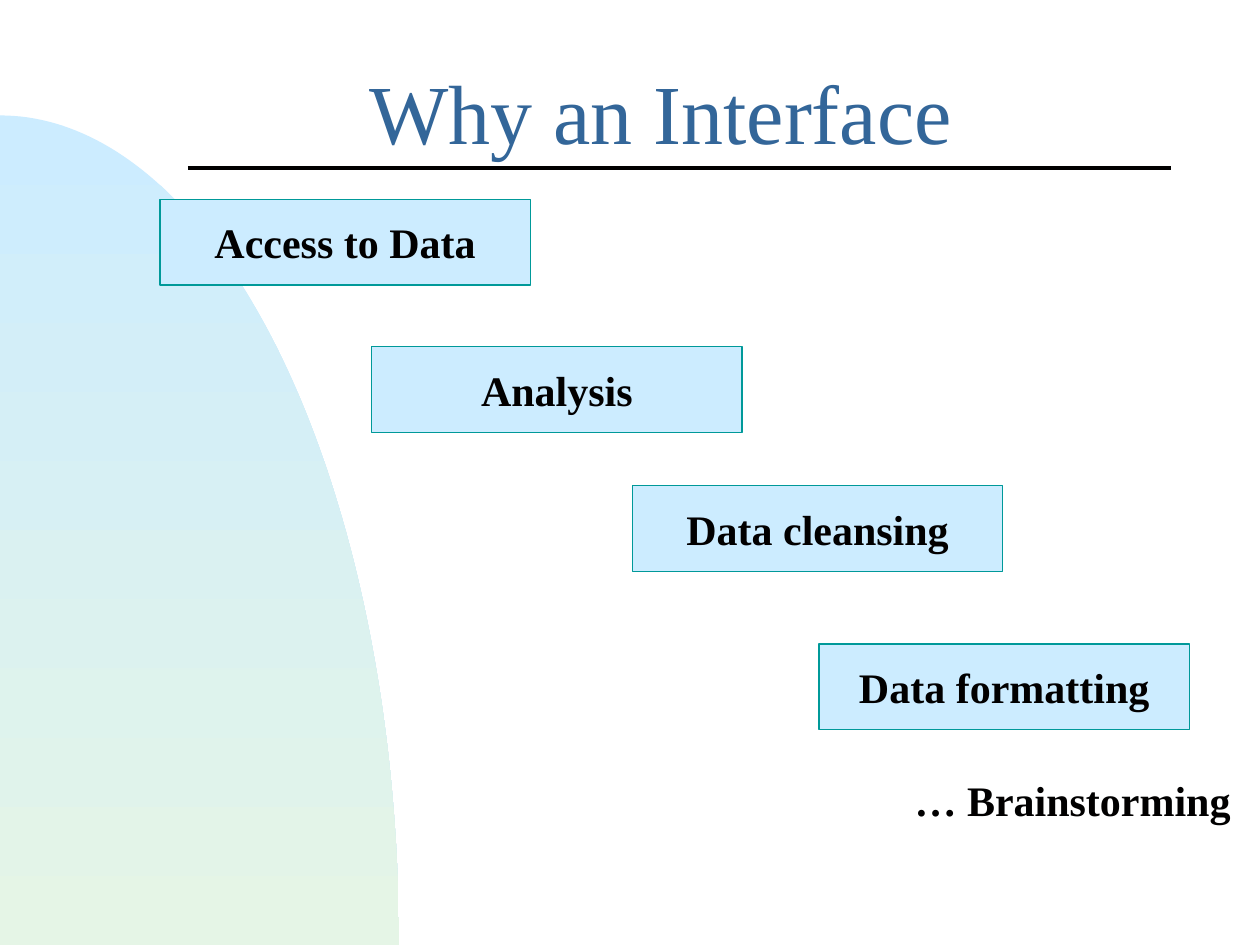
import math
from lxml import etree
from pptx import Presentation
from pptx import util as u
from pptx.dml.color import RGBColor
from pptx.enum import shapes, text
from pptx.oxml.ns import qn

Pt = u.Pt
hues = {"sky": "CCECFF", "mint": "E5F5E6", "title": "336699",
        "edge": "009999", "ink": "010000"}
hues = {name: RGBColor.from_string(code) for name, code in hues.items()}


def style(frame, words, size, hue, bold, align):
    frame.text = words
    frame.word_wrap = False
    frame.margin_left = frame.margin_right = Pt(7.2)
    frame.margin_top = frame.margin_bottom = Pt(3.6)
    line = frame.paragraphs[0]
    line.alignment = align
    font = line.runs[0].font
    font.name = "Times New Roman"
    font.size = Pt(size)
    font.bold = bold
    font.color.rgb = hues[hue]


deck = Presentation()
deck.slide_width, deck.slide_height = Pt(720), Pt(540)
slide = deck.slides.add_slide(deck.slide_layouts[5])
items = slide.shapes

wide, high, steps = 228, 474, 90
curve = []
for step in range(steps + 1):
    turn = math.pi / 2 * step / steps
    curve.append((Pt(wide * math.sin(turn)), Pt(540 - high * math.cos(turn))))
path = items.build_freeform(*curve[0])
path.add_line_segments(curve[1:] + [(0, Pt(540))], close=True)
dome = path.convert_to_shape()
dome.shadow.inherit = False
dome.line.fill.background()
dome.fill.gradient()
dome.fill.gradient_angle = 270
for stop, hue in zip(dome.fill.gradient_stops, ("sky", "mint")):
    stop.color.rgb = hues[hue]

title = items.title
title.left, title.top, title.width, title.height = Pt(203.8), Pt(31), Pt(359.3), Pt(64.8)
style(title.text_frame, "Why an Interface", 48, "title", False, text.PP_ALIGN.LEFT)
title.text_frame.vertical_anchor = text.MSO_ANCHOR.TOP
title.text_frame.auto_size = text.MSO_AUTO_SIZE.NONE

rule = items.add_connector(shapes.MSO_CONNECTOR.STRAIGHT, Pt(107.3), Pt(96), Pt(669), Pt(96))
rule.line.color.rgb = hues["ink"]
rule.line.width = Pt(2)
etree.SubElement(rule.element.spPr, qn("a:effectLst"))

boxes = [("Access to Data", 91.4, 113.8), ("Analysis", 212.4, 198),
         ("Data cleansing", 361.4, 277.4), ("Data formatting", 468, 368)]
for words, left, top in boxes:
    box = items.add_shape(shapes.MSO_SHAPE.RECTANGLE, Pt(left), Pt(top), Pt(211.7), Pt(49))
    box.shadow.inherit = False
    box.fill.solid()
    box.fill.fore_color.rgb = hues["sky"]
    box.line.color.rgb = hues["edge"]
    box.line.width = Pt(0.75)
    style(box.text_frame, words, 24, "ink", True, text.PP_ALIGN.CENTER)
    box.text_frame.vertical_anchor = text.MSO_ANCHOR.MIDDLE

note = items.add_textbox(Pt(515.5), Pt(439.2), Pt(195), Pt(36))
style(note.text_frame, "… Brainstorming", 24, "ink", True, text.PP_ALIGN.LEFT)

deck.save("out.pptx")
